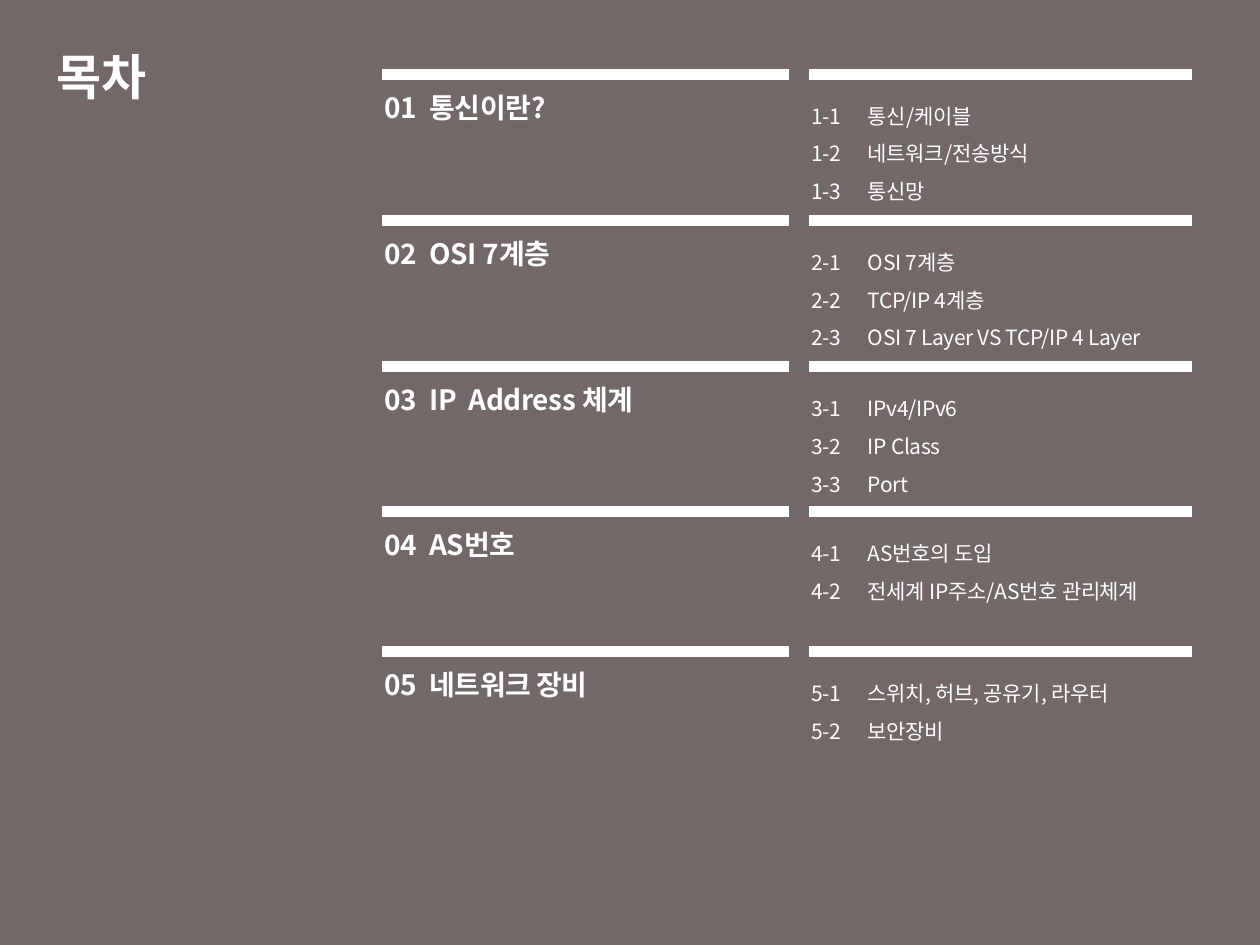
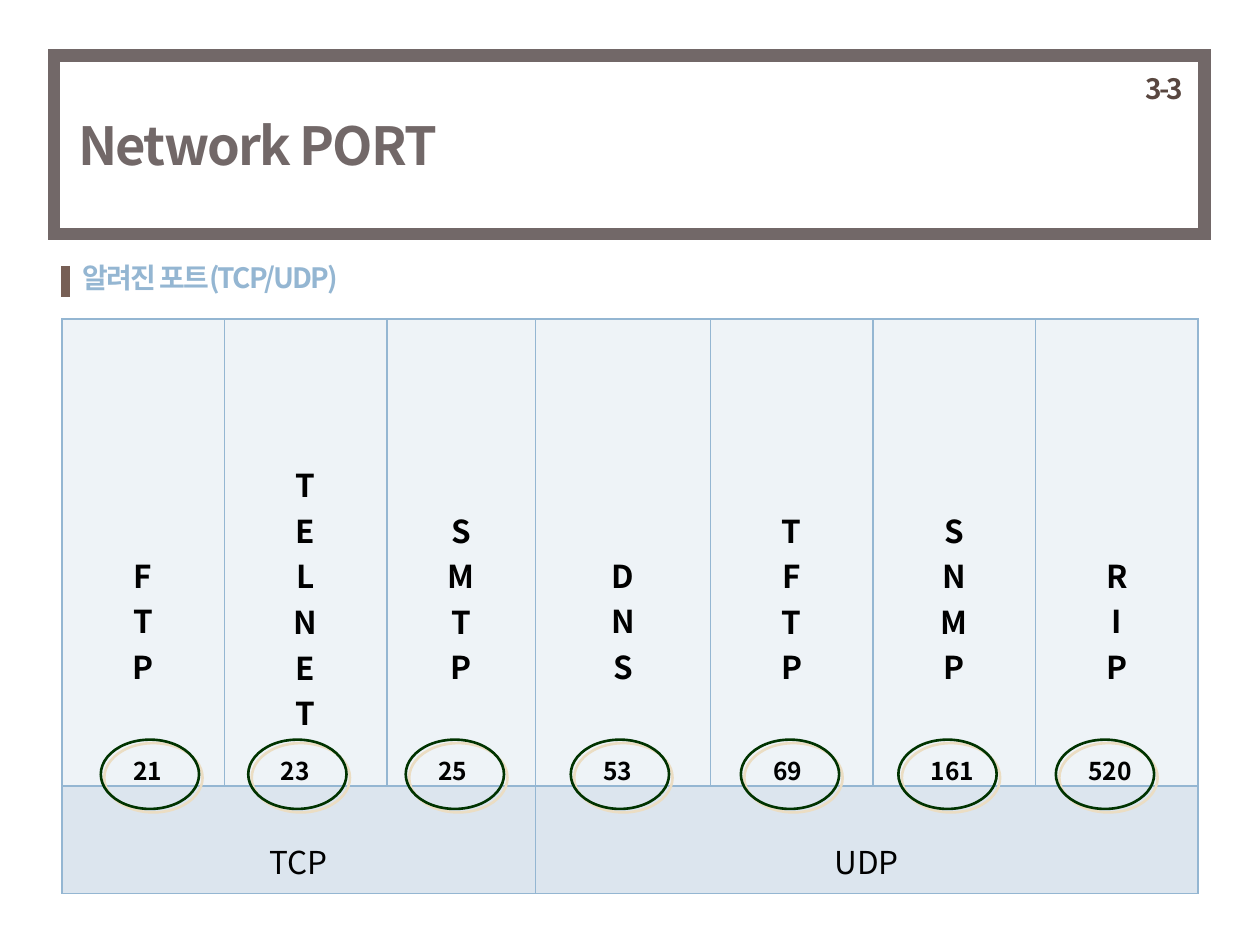
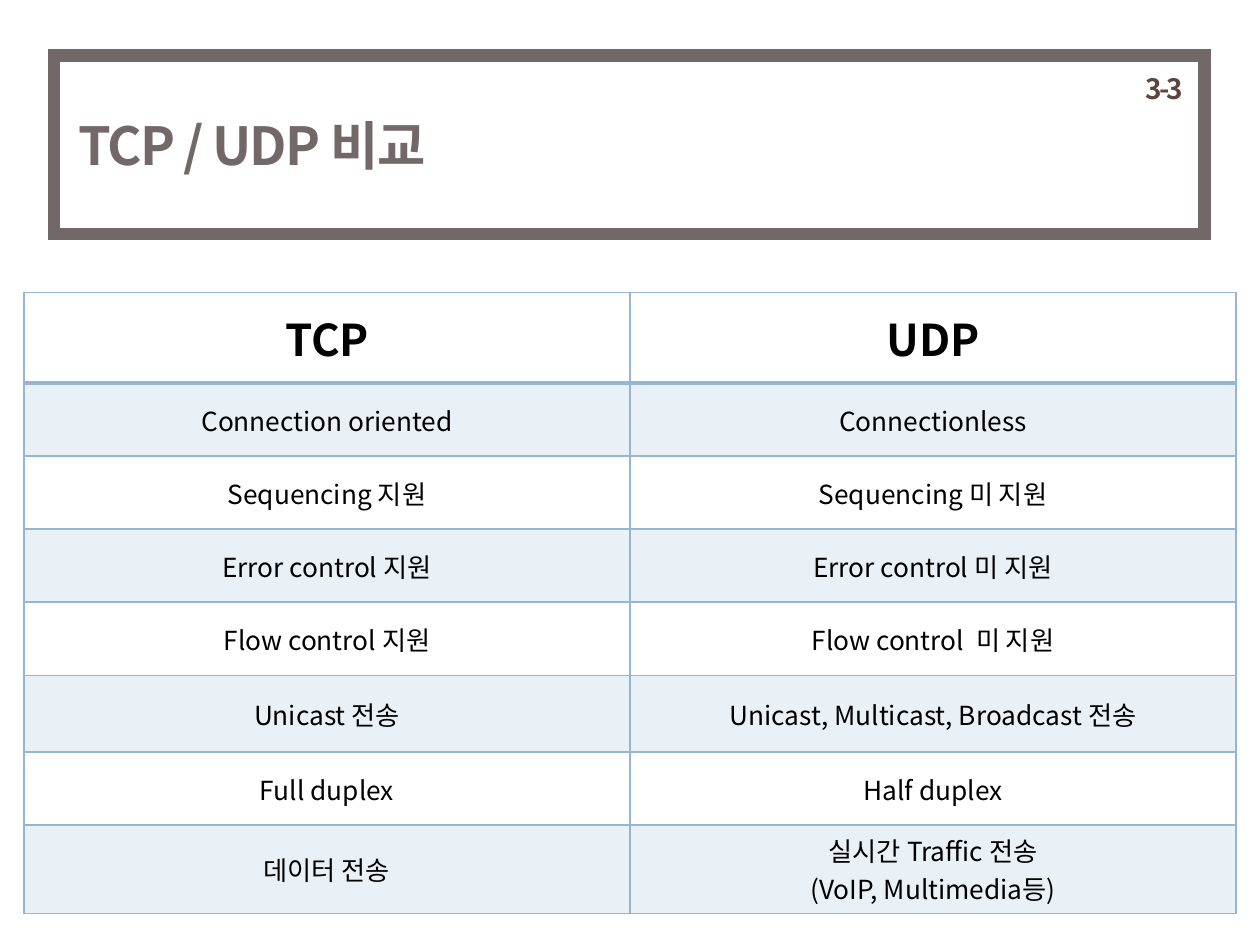
import lxml.etree
import pptx
import pptx.dml.color
import pptx.enum.shapes
import pptx.enum.text
import pptx.oxml.ns
import pptx.util

Inches = pptx.util.Inches
Pt = pptx.util.Pt
RGBColor = pptx.dml.color.RGBColor
ALIGN = pptx.enum.text.PP_ALIGN
ANCHOR = pptx.enum.text.MSO_ANCHOR
SHAPE = pptx.enum.shapes.MSO_SHAPE

FONT = "Noto Sans CJK KR"
WHITE = RGBColor(0xFF, 0xFF, 0xFF)
BLACK = RGBColor(0, 0, 0)
TAUPE = RGBColor(0x72, 0x68, 0x68)
BROWN = RGBColor(0x59, 0x47, 0x40)
RUST = RGBColor(0x77, 0x5F, 0x55)
BLUE = RGBColor(0x94, 0xB6, 0xD2)
PALE = RGBColor(0xEE, 0xF3, 0xF7)
MIST = RGBColor(0xDC, 0xE5, 0xEE)
GREEN = RGBColor(0, 0x33, 0)
SAND = RGBColor(0xEB, 0xDD, 0xC3)

TOPICS = [
    (0.59, "01\t통신이란?", ["1-1\t통신/케이블", "1-2\t네트워크/전송방식", "1-3\t통신망"]),
    (1.75, "02\tOSI 7계층",
     ["2-1\tOSI 7계층", "2-2\tTCP/IP 4계층", "2-3\tOSI 7 Layer VS TCP/IP 4 Layer"]),
    (2.91, "03\tIP  Address 체계", ["3-1\tIPv4/IPv6", "3-2\tIP Class", "3-3\tPort"]),
    (4.06, "04\tAS번호", ["4-1\tAS번호의 도입", "4-2\t전세계 IP주소/AS번호 관리체계"]),
    (5.17, "05\t네트워크 장비", ["5-1\t스위치, 허브, 공유기, 라우터", "5-2\t보안장비"]),
]
PORTS = [
    ("FTP", "21", 1.29, 0.8), ("TELNET", "23", 1.29, 1.97), ("SMTP", "25", 1.18, 3.22),
    ("DNS", "53", 1.39, 4.53), ("TFTP", "69", 1.29, 5.88), ("SNMP", "161", 1.29, 7.13),
    ("RIP", "520", 1.29, 8.38),
]
GROUPS = [("TCP", 0, 2), ("UDP", 3, 6)]
TRAITS = [
    (0.72, "TCP", "UDP"),
    (0.58, "Connection oriented", "Connectionless"),
    (0.58, "Sequencing 지원", "Sequencing 미 지원"),
    (0.58, "Error control 지원", "Error control 미 지원"),
    (0.58, "Flow control 지원", "Flow control  미 지원"),
    (0.61, "Unicast 전송", "Unicast, Multicast, Broadcast 전송"),
    (0.58, "Full duplex", "Half duplex"),
    (0.7, "데이터 전송", "실시간 Traffic 전송\n(VoIP, Multimedia등)"),
]


def add(parent, tag, **attrs):
    """Append a drawing element with the given attributes."""
    node = lxml.etree.SubElement(parent, pptx.oxml.ns.qn(tag))
    for name, value in attrs.items():
        node.set(name, str(value))
    return node


def write(frame, text, size=18, color=BLACK, bold=False, space=0,
          align=ALIGN.LEFT, lines=None, tab=None):
    """Fill a text frame with one paragraph for each line of text."""
    for i, line in enumerate(text.split("\n")):
        para = frame.paragraphs[0] if i == 0 else frame.add_paragraph()
        para.alignment = align
        if lines:
            para.line_spacing = lines
        if tab:
            stops = add(para._p.get_or_add_pPr(), "a:tabLst")
            add(stops, "a:tab", pos=Inches(tab), algn="l")
        run = para.add_run()
        run.text = line
        run.font.size = Pt(size)
        run.font.bold = bold
        run.font.color.rgb = color
        run.font.name = FONT
        props = run._r.get_or_add_rPr()
        add(props, "a:ea", typeface=FONT)
        if space:
            props.set("spc", str(round(space * 100)))


def label(shapes, box, text, wrap=True, **style):
    """Add a text box."""
    frame = shapes.add_textbox(*map(Inches, box)).text_frame
    frame.word_wrap = wrap
    write(frame, text, **style)


def rule(shapes, x1, y1, x2, y2, color, width):
    """Draw a plain straight line."""
    line = shapes.add_connector(pptx.enum.shapes.MSO_CONNECTOR.STRAIGHT,
                                *map(Inches, (x1, y1, x2, y2)))
    line.line.color.rgb = color
    line.line.width = Pt(width)
    add(line._element.spPr, "a:effectLst")


def ring(shapes, kind, box, color, width):
    """Draw an unfilled outline shape."""
    shape = shapes.add_shape(kind, *map(Inches, box))
    shape.shadow.inherit = False
    shape.fill.background()
    shape.line.color.rgb = color
    shape.line.width = Pt(width)
    add(shape.line._get_or_add_ln(), "a:miter", lim=800000)
    return shape


def title(slide, box, text, **style):
    """Place and write the slide title."""
    shape = slide.shapes.title
    shape.left, shape.top, shape.width, shape.height = map(Inches, box)
    frame = shape.text_frame
    frame.auto_size = pptx.enum.text.MSO_AUTO_SIZE.NONE
    frame.vertical_anchor = ANCHOR.MIDDLE
    write(frame, text, bold=True, **style)


def header(slide, text, page, left=0.43, top=0.44):
    """Draw the framed title band with its section number."""
    ring(slide.shapes, SHAPE.RECTANGLE, (left, top, 9.13, 1.42), TAUPE, 7)
    label(slide.shapes, (left + 7.26, top + 0.08, 1.8, 0.5), page, size=16,
          color=BROWN, bold=True, space=-1.5, align=ALIGN.RIGHT)
    title(slide, (left + 0.09, top + 0.46, 7.17, 0.5), text, size=30,
          color=TAUPE, space=-1)


def topic(shapes, left, top, name, items):
    """Draw one row of the contents list."""
    rule(shapes, left, top, left + 3.23, top, WHITE, 6)
    rule(shapes, left + 3.39, top, left + 6.43, top, WHITE, 6)
    label(shapes, (left - 0.08, top + 0.08, 3.62, 0.39), name, size=16,
          color=WHITE, bold=True, space=-0.2, tab=0.36)
    label(shapes, (left + 3.31, top + 0.08, 3.62, 0.32 * len(items)), "\n".join(items),
          size=12, color=WHITE, space=-0.2, lines=1.5, tab=0.45)


def grid(slide, left, top, cols, rows):
    """Add an unstyled table with the given column and row sizes."""
    table = slide.shapes.add_table(len(rows), len(cols), *map(
        Inches, (left, top, sum(cols), sum(rows)))).table
    table.first_row = table.horz_banding = False
    for col, width in zip(table.columns, cols):
        col.width = Inches(width)
    for row, height in zip(table.rows, rows):
        row.height = Inches(height)
    return table


def edge(cell, top=1, bottom=1):
    """Draw blue borders around a cell."""
    props = cell._tc.get_or_add_tcPr()
    for side, width in (("L", 1), ("R", 1), ("T", top), ("B", bottom)):
        line = add(props, "a:ln" + side, w=Pt(width))
        add(add(line, "a:solidFill"), "a:srgbClr", val=BLUE)


def tint(cell, color, alpha=None):
    """Fill a cell, with an optional opacity in percent."""
    cell.fill.solid()
    cell.fill.fore_color.rgb = color
    if alpha:
        node = cell._tc.tcPr.find("a:solidFill/a:srgbClr", pptx.oxml.ns._nsmap)
        add(node, "a:alpha", val=alpha * 1000)


def badge(slide, left, top, number):
    """Draw a port number in a shadowed oval."""
    shapes = slide.shapes.add_group_shape().shapes
    oval = ring(shapes, SHAPE.OVAL, (left, top, 0.78, 0.55), GREEN, 1.5)
    effects = oval._element.spPr.find(pptx.oxml.ns.qn("a:effectLst"))
    shadow = add(effects, "a:outerShdw", dist=Pt(2.8), dir=45 * 60000,
                 algn="ctr", rotWithShape=0)
    add(shadow, "a:srgbClr", val=SAND)
    label(shapes, (left + 0.16, top + 0.08, 0.55, 0.36), number, size=14, bold=True)


def chart(slide, left, top):
    """Draw the table of known ports."""
    pitch = 0.36
    table = grid(slide, left, top, [port[2] for port in PORTS], [3.71, 0.85])
    for i, (name, number, width, spot) in enumerate(PORTS):
        for row, color in enumerate((PALE, MIST)):
            edge(table.cell(row, i))
            tint(table.cell(row, i), color)
        cell = table.cell(0, i)
        cell.margin_top = Inches(0.05 + pitch * max(3, 8 - len(name)))
        write(cell.text_frame, "\n".join(name), bold=True, align=ALIGN.CENTER)
        badge(slide, spot, top + 3.34, number)
    for name, first, last in GROUPS:
        cell = table.cell(1, first)
        cell.merge(table.cell(1, last))
        cell.margin_top = Inches(0.05 + pitch)
        write(cell.text_frame, name, align=ALIGN.CENTER)


def versus(slide, left, top):
    """Draw the two-column comparison table."""
    table = grid(slide, left, top, [4.81, 4.81], [trait[0] for trait in TRAITS])
    for i, (height, *texts) in enumerate(TRAITS):
        for j, text in enumerate(texts):
            cell = table.cell(i, j)
            edge(cell, top=2 if i == 1 else 1, bottom=2 if i == 0 else 1)
            if i % 2:
                tint(cell, BLUE, 20)
            else:
                cell.fill.background()
            cell.vertical_anchor = ANCHOR.MIDDLE
            write(cell.text_frame, text, size=15 if i else 25, bold=i == 0,
                  align=ALIGN.CENTER)


def index(slide):
    """Build the contents slide."""
    slide.background.fill.solid()
    slide.background.fill.fore_color.rgb = TAUPE
    title(slide, (0.35, 0.29, 3.15, 0.63), "목차", size=28, color=WHITE)
    for top, name, items in TOPICS:
        topic(slide.shapes, 3.03, top, name, items)


def ports(slide):
    """Build the known ports slide."""
    header(slide, "Network PORT", "3-3")
    rule(slide.shapes, 0.52, 2.11, 0.52, 2.36, RUST, 5)
    label(slide.shapes, (0.56, 2.02, 2.33, 0.37), "알려진 포트(TCP/UDP)", wrap=False,
          size=16, color=BLUE, bold=True, space=-1)
    chart(slide, 0.49, 2.53)


def match(slide):
    """Build the comparison slide."""
    header(slide, "TCP / UDP 비교", "3-3")
    versus(slide, 0.19, 2.32)


def main():
    """Build and save the deck."""
    deck = pptx.Presentation()
    deck.slide_width, deck.slide_height = Inches(10), Inches(7.5)
    for build in (index, ports, match):
        build(deck.slides.add_slide(deck.slide_layouts[5]))
    deck.save("out.pptx")


if __name__ == "__main__":
    main()
